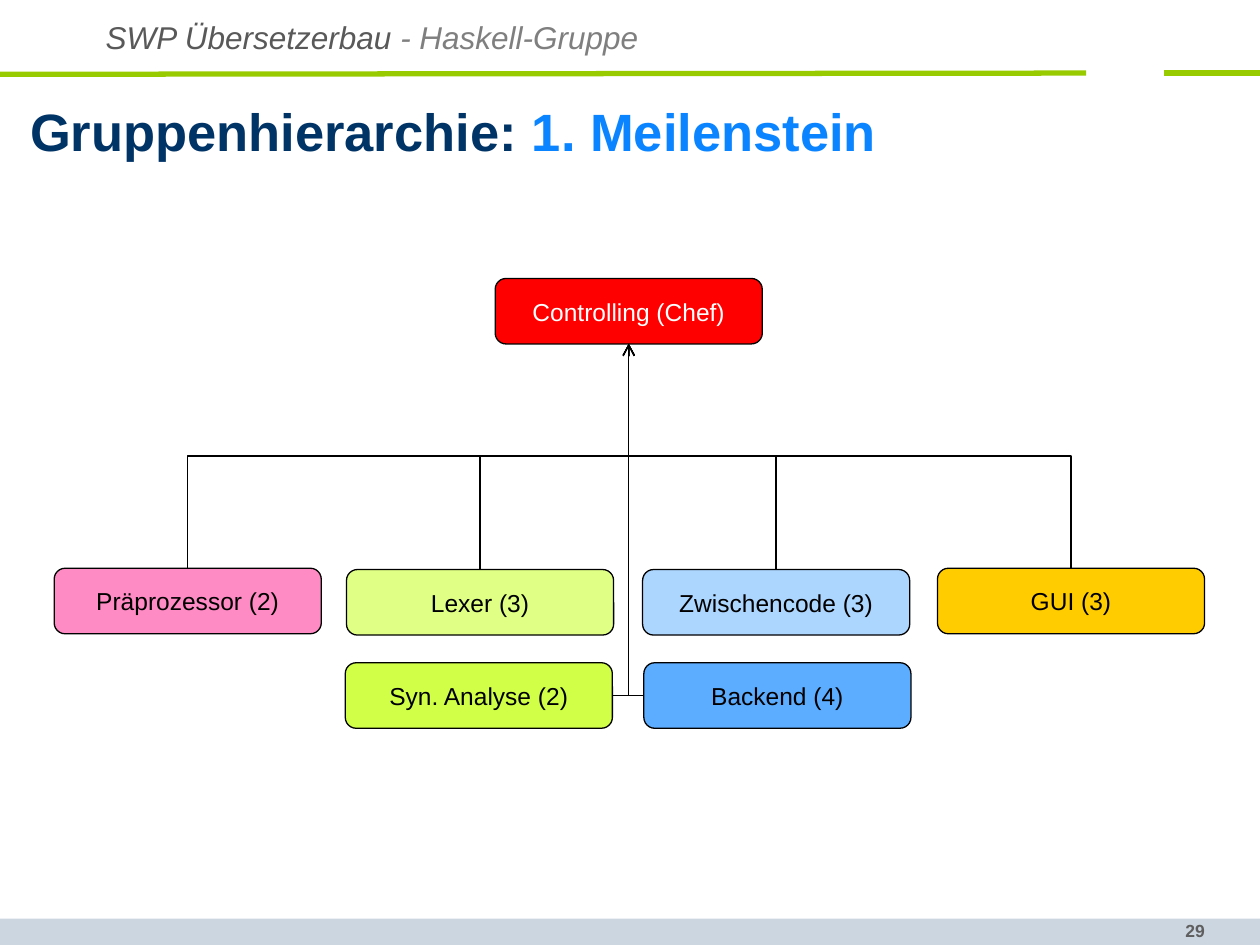
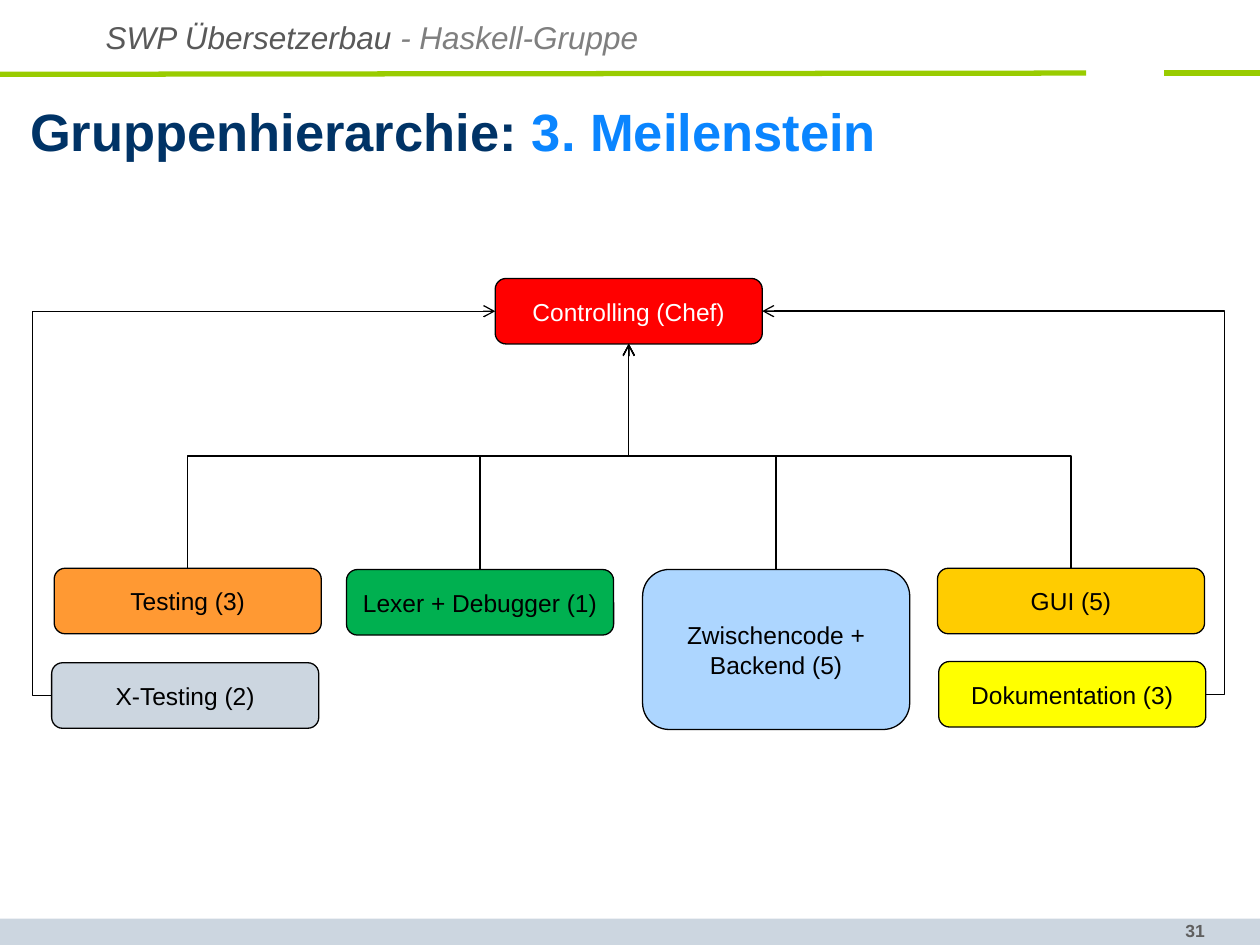
import lxml.etree
import pptx
import pptx.dml.color
import pptx.enum.shapes
import pptx.enum.text
import pptx.oxml.ns
import pptx.util

Inches = pptx.util.Inches
Pt = pptx.util.Pt
qn = pptx.oxml.ns.qn
ALIGN = pptx.enum.text.PP_ALIGN
ANCHOR = pptx.enum.text.MSO_ANCHOR
SHAPE = pptx.enum.shapes.MSO_SHAPE
CONNECTOR = pptx.enum.shapes.MSO_CONNECTOR


def color(code):
    return pptx.dml.color.RGBColor.from_string(code)


class Deck:
    FONT = "Arial"
    BLACK, WHITE = "000000", "FFFFFF"
    NAVY, BLUE = "003366", "0A85FF"
    GREEN, PALE = "99CC00", "CCD6E0"
    DARK_GRAY, MID_GRAY, PAGE_GRAY = "595959", "7F7F7F", "5F5F5F"
    BOX_SIZE = (2.12, 0.52)
    BOX_LINE = Pt(0.74)

    def __init__(self):
        self.presentation = pptx.Presentation()
        self.presentation.slide_width = Inches(10)
        self.presentation.slide_height = Inches(7.5)
        self.slide = None

    def start(self, milestone, page):
        self.slide = self.presentation.slides.add_slide(self.presentation.slide_layouts[6])
        self.band(0, 7.29, 10, 0.21)
        self.text(8.32, 7.25, 1.34, 0.26, [(page, self.PAGE_GRAY)], 10, bold=True, align=ALIGN.RIGHT)
        self.rule((8.62, 0.58), (0, 0.59))
        self.rule((10, 0.58), (9.24, 0.58))
        heading = self.text(0.24, 0.84, 8.57, 0.47,
                            [("Gruppenhierarchie: ", self.NAVY), (milestone, self.BLUE)], 30, bold=True)
        heading.margin_left = heading.margin_right = heading.margin_top = heading.margin_bottom = 0
        heading.vertical_anchor = ANCHOR.MIDDLE
        heading.paragraphs[0].line_spacing = 0.85
        self.text(0.74, 0.09, 4.84, 0.4,
                  [("SWP Übersetzerbau", self.DARK_GRAY), (" - Haskell-Gruppe", self.MID_GRAY)],
                  18, italic=True)

    def run(self, paragraph, words, size, code, bold=False, italic=False):
        run = paragraph.add_run()
        run.text = words
        run.font.name = self.FONT
        run.font.size = Pt(size)
        run.font.bold = bold
        run.font.italic = italic
        run.font.color.rgb = color(code)

    def text(self, left, top, width, height, runs, size, bold=False, italic=False, align=ALIGN.LEFT):
        area = self.slide.shapes.add_textbox(Inches(left), Inches(top), Inches(width), Inches(height))
        frame = area.text_frame
        frame.word_wrap = True
        frame.paragraphs[0].alignment = align
        for words, code in runs:
            self.run(frame.paragraphs[0], words, size, code, bold, italic)
        return frame

    def band(self, left, top, width, height):
        band = self.slide.shapes.add_shape(
            SHAPE.RECTANGLE, Inches(left), Inches(top), Inches(width), Inches(height))
        band.shadow.inherit = False
        band.fill.solid()
        band.fill.fore_color.rgb = color(self.PALE)
        band.line.fill.background()

    def box(self, left, top, lines, fill, ink=BLACK, height=BOX_SIZE[1]):
        box = self.slide.shapes.add_shape(
            SHAPE.ROUNDED_RECTANGLE, Inches(left), Inches(top), Inches(self.BOX_SIZE[0]), Inches(height))
        box.shadow.inherit = False
        box.fill.solid()
        box.fill.fore_color.rgb = color(fill)
        box.line.color.rgb = color(self.BLACK)
        box.line.width = self.BOX_LINE
        frame = box.text_frame
        frame.word_wrap = False
        frame.vertical_anchor = ANCHOR.MIDDLE
        for number, words in enumerate(lines.split("\n")):
            paragraph = frame.add_paragraph() if number else frame.paragraphs[0]
            paragraph.alignment = ALIGN.CENTER
            self.run(paragraph, words, 14, ink)
        return box

    def line(self, kind, begin, end, code, width):
        line = self.slide.shapes.add_connector(kind, *begin, *end)
        line.line.color.rgb = color(code)
        line.line.width = width
        lxml.etree.SubElement(line._element.spPr, qn("a:effectLst"))
        return line

    def rule(self, begin, end):
        self.line(CONNECTOR.STRAIGHT, [Inches(v) for v in begin], [Inches(v) for v in end],
                  self.GREEN, Pt(3))

    def arrow(self, begin, end, turn, bend=0.5, preset="bentConnector3"):
        middle_x, middle_y = (begin[0] + end[0]) // 2, (begin[1] + end[1]) // 2
        cos, sin = {0: (1, 0), 90: (0, 1), 180: (-1, 0), 270: (0, -1)}[turn]

        def unturned(point):
            x, y = point[0] - middle_x, point[1] - middle_y
            return middle_x + x * cos + y * sin, middle_y - x * sin + y * cos

        arrow = self.line(CONNECTOR.ELBOW, unturned(begin), unturned(end), self.BLACK, self.BOX_LINE)
        properties = arrow._element.spPr
        properties.find(qn("a:xfrm")).set("rot", str(turn * 60000))
        geometry = properties.find(qn("a:prstGeom"))
        geometry.set("prst", preset)
        if preset == "bentConnector3":
            guides = geometry.find(qn("a:avLst"))
            if guides is None:
                guides = lxml.etree.SubElement(geometry, qn("a:avLst"))
            lxml.etree.SubElement(guides, qn("a:gd"), name="adj1", fmla=f"val {round(bend * 100000)}")
        lxml.etree.SubElement(properties.find(qn("a:ln")), qn("a:tailEnd"), type="arrow")

    @staticmethod
    def point(box, across, down):
        return box.left + int(box.width * across), box.top + int(box.height * down)

    def rise(self, team, chief):
        begin, end = self.point(team, 0.5, 0), self.point(chief, 0.5, 1)
        self.arrow(begin, end, 90 if begin[0] < end[0] else 270)

    def side(self, team, chief, edge):
        begin, end = self.point(team, edge, 0.5), self.point(chief, edge, 0.5)
        bend = -Inches(0.15) / abs(end[0] - begin[0])
        self.arrow(begin, end, 0 if edge else 180, bend)

    def join(self, team, chief, edge):
        self.arrow(self.point(team, edge, 0.5), self.point(chief, 0.5, 1),
                   0 if edge else 180, preset="bentConnector2")

    def hierarchy(self, teams):
        chief = self.box(3.93, 2.21, "Controlling (Chef)", "FF0000", self.WHITE)
        places = [(0.43, 4.51), (2.75, 4.52), (5.1, 4.52), (7.44, 4.51)]
        for (left, top), (name, fill, height) in zip(places, teams):
            self.rise(self.box(left, top, name, fill, height=height), chief)
        return chief


deck = Deck()
single = Deck.BOX_SIZE[1]

deck.start("1. Meilenstein", "29")
controlling = deck.hierarchy([
    ("Präprozessor (2)", "FF8BC5", single),
    ("Lexer (3)", "E0FF85", single),
    ("Zwischencode (3)", "ADD6FF", single),
    ("GUI (3)", "FFCC00", single),
])
syntax = deck.box(2.74, 5.26, "Syn. Analyse (2)", "D1FF47")
backend = deck.box(5.11, 5.26, "Backend (4)", "5CADFF")
deck.join(backend, controlling, 0)
deck.join(syntax, controlling, 1)

deck.start("3. Meilenstein", "31")
controlling = deck.hierarchy([
    ("Testing (3)", "FF9933", single),
    ("Lexer + Debugger (1)", "00B050", single),
    ("Zwischencode +\nBackend (5)", "ADD6FF", 1.27),
    ("GUI (5)", "FFCC00", single),
])
documentation = deck.box(7.45, 5.25, "Dokumentation (3)", "FFFF00")
cross_testing = deck.box(0.41, 5.26, "X-Testing (2)", Deck.PALE)
deck.side(documentation, controlling, 1)
deck.side(cross_testing, controlling, 0)

deck.presentation.save("out.pptx")
